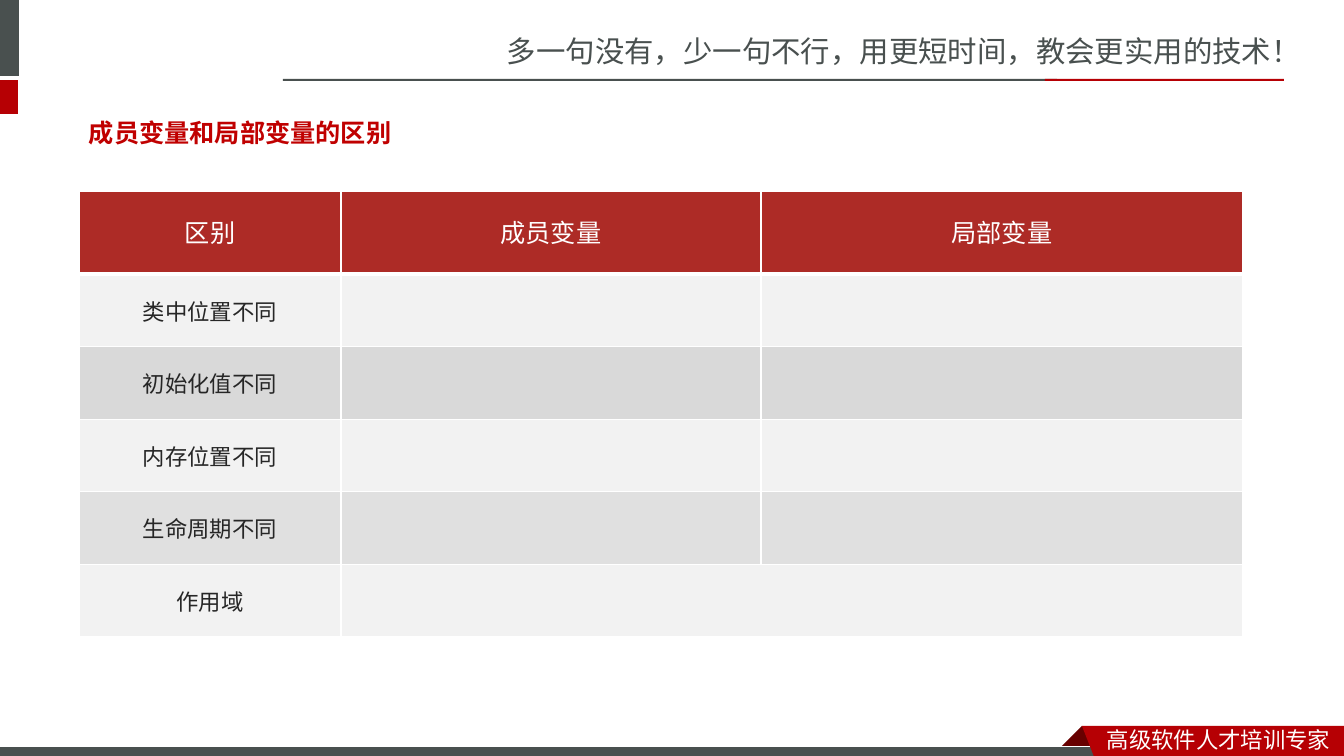
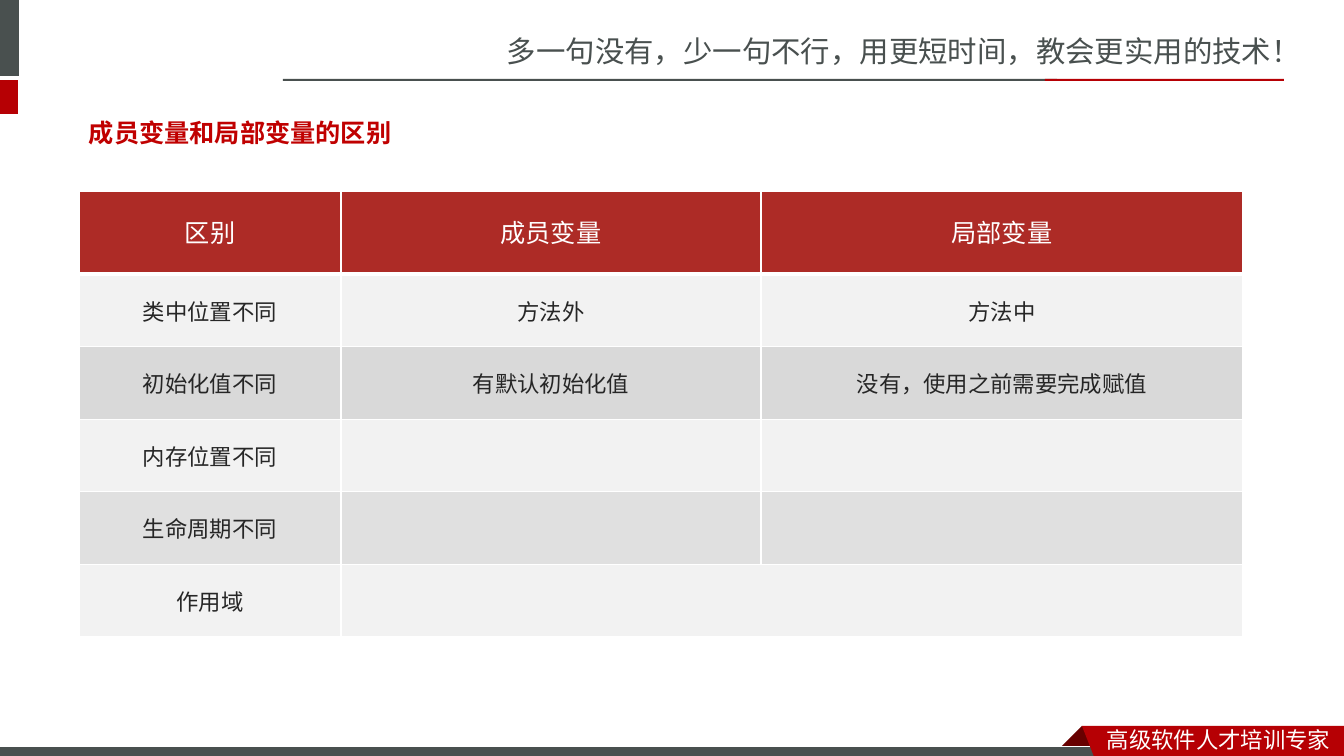
from lxml import etree
from pptx import Presentation
from pptx.dml.color import RGBColor
from pptx.enum.shapes import MSO_SHAPE
from pptx.enum.text import MSO_ANCHOR, PP_ALIGN
from pptx.oxml.ns import qn
from pptx.util import Emu, Pt

RECTANGLE = MSO_SHAPE.RECTANGLE
TOP, MIDDLE = MSO_ANCHOR.TOP, MSO_ANCHOR.MIDDLE
CENTER = PP_ALIGN.CENTER

SLIDE_WIDTH, SLIDE_HEIGHT = 1344, 756
SCALE = 12192000 / SLIDE_WIDTH

COLORS = {
    "slate": "49504F",
    "red": "B60004",
    "fold": "680000",
    "heading": "C00000",
    "table_header": "AD2B26",
    "light_row": "F2F2F2",
    "dark_row": "D9D9D9",
    "ink": "262626",
    "white": "FFFFFF",
}
CHINESE_FONT = "Noto Sans CJK SC"
HEADING_FONT = "Noto Sans Mono"
TABLE_FONT = "Roboto"

TAGLINE = "多一句没有，少一句不行，用更短时间，教会更实用的技术！"
SLOGAN = "高级软件人才培训专家"
HEADING = "成员变量和局部变量的区别"
COLUMN_TITLES = ["区别", "成员变量", "局部变量"]
ROW_TITLES = ["类中位置不同", "初始化值不同", "内存位置不同", "生命周期不同", "作用域"]
ROW_FILLS = [
    ("light_row", 100),
    ("dark_row", 100),
    ("light_row", 100),
    ("dark_row", 80),
    ("light_row", 100),
]
COLUMN_WIDTHS = [262, 420, 482]
HEADER_HEIGHT = 83
ANSWERS = [
    [],
    [["方法外", "方法中"], ["有默认初始化值", "没有，使用之前需要完成赋值"]],
]


def px(length):
    return Emu(round(length * SCALE))


def color(name):
    return RGBColor.from_string(COLORS[name])


def paint(shape, fill, line=None):
    shape.shadow.inherit = False
    shape.fill.solid()
    shape.fill.fore_color.rgb = color(fill)
    if line:
        shape.line.color.rgb = color(line)
        shape.line.width = Pt(0.75)
    else:
        shape.line.fill.background()


def add_bar(page, left, top, width, height, fill, line=None):
    bar = page.shapes.add_shape(RECTANGLE, px(left), px(top), px(width), px(height))
    paint(bar, fill, line)


def add_outline(page, left, top, points, fill):
    builder = page.shapes.build_freeform(*points[0], scale=SCALE)
    builder.add_line_segments(points[1:], close=True)
    paint(builder.convert_to_shape(px(left), px(top)), fill)


def write(para, text, size, font, fill, bold=False):
    para.text = text
    for span in para.runs:
        span.font.size = Pt(size)
        span.font.name = font
        span.font.bold = bold
        span.font.color.rgb = color(fill)
        east_asian = etree.Element(qn("a:ea"), typeface=CHINESE_FONT)
        span.font._element.find(qn("a:latin")).addnext(east_asian)


def add_text(page, box, text, size, font, fill, bold=False, anchor=TOP):
    frame = page.shapes.add_textbox(*map(px, box)).text_frame
    frame.word_wrap = True
    frame.vertical_anchor = anchor
    write(frame.paragraphs[0], text, size, font, fill, bold)


def add_side_tabs(page, box):
    left, top, width, height = box
    add_bar(page, left, top, width, 76, "slate")
    add_bar(page, left, top + 80, width - 1, height - 80, "red")


def add_tagline(page, box):
    left, top, width, height = box
    add_text(page, (left + 214, top, 848, 47), TAGLINE, 21, CHINESE_FONT, "slate")
    rule_top = top + height - 2
    add_bar(page, left, rule_top, 774, 2, "slate")
    add_bar(page, left + width - 239, rule_top, 239, 2, "red")


def add_footer(page, box):
    left, top, width, height = box
    ribbon = left + width - 262
    fold = [(22, 0), (44, 22), (43, 23), (1, 23), (0, 22)]
    add_outline(page, ribbon - 22, top, fold, "fold")
    add_bar(page, left - 1, top + 21, 1109, 12, "slate", "white")
    band = [(0, 0), (262, 0), (262, height), (13, height - 1)]
    add_outline(page, ribbon, top, band, "red")
    slogan_box = (left + width - 247, top - 5, 247, 37)
    add_text(page, slogan_box, SLOGAN, 16, CHINESE_FONT, "white")


def set_borders(cell, widths):
    properties = cell._tc.get_or_add_tcPr()
    for side, width in zip(("lnL", "lnR", "lnT", "lnB"), widths):
        border = etree.SubElement(properties, qn(f"a:{side}"), w=str(Pt(width)))
        fill = etree.SubElement(border, qn("a:solidFill"))
        etree.SubElement(fill, qn("a:srgbClr"), val=COLORS["white"])


def style_cell(cell, fill, opacity, borders):
    set_borders(cell, borders)
    cell.fill.solid()
    cell.fill.fore_color.rgb = color(fill)
    if opacity < 100:
        shade = cell._tc.tcPr.find(qn("a:solidFill")).find(qn("a:srgbClr"))
        etree.SubElement(shade, qn("a:alpha"), val=str(opacity * 1000))
    cell.vertical_anchor = MIDDLE


def add_comparison(page, box, answers):
    height = box[3]
    row_count, column_count = len(ROW_TITLES) + 1, len(COLUMN_TITLES)
    table = page.shapes.add_table(row_count, column_count, *map(px, box)).table
    table.horz_banding = False
    for column, width in zip(table.columns, COLUMN_WIDTHS):
        column.width = px(width)
    for index, row in enumerate(table.rows):
        body_height = (height - HEADER_HEIGHT) / len(ROW_TITLES)
        row.height = px(body_height if index else HEADER_HEIGHT)

    fills = [("table_header", 100)] + ROW_FILLS
    texts = [COLUMN_TITLES]
    for index, title in enumerate(ROW_TITLES):
        texts.append([title] + (answers[index] if index < len(answers) else ["", ""]))

    for row_index, (row_texts, (fill, opacity)) in enumerate(zip(texts, fills)):
        is_header = row_index == 0
        borders = (1, 1, 3 if row_index == 1 else 1, 3 if is_header else 1)
        size, ink = (18, "white") if is_header else (16, "ink")
        for column_index, text in enumerate(row_texts):
            cell = table.cell(row_index, column_index)
            style_cell(cell, fill, opacity, borders)
            if text:
                para = cell.text_frame.paragraphs[0]
                para.alignment = CENTER
                if is_header:
                    para.line_spacing = Pt(24)
                write(para, text, size, TABLE_FONT, ink)
    last = row_count - 1
    table.cell(last, 1).merge(table.cell(last, 2))


def add_comparison_page(deck, answers):
    page = deck.slides.add_slide(deck.slide_layouts[6])
    add_tagline(page, (283, 28, 1001, 53))
    add_side_tabs(page, (-6, 0, 25, 114))
    add_footer(page, (0, 726, SLIDE_WIDTH, 34))
    add_text(page, (79, 104, 379, 57), HEADING, 18, HEADING_FONT, "heading", True, MIDDLE)
    add_comparison(page, (79, 191, sum(COLUMN_WIDTHS), 446), answers)


def main():
    deck = Presentation()
    deck.slide_width, deck.slide_height = px(SLIDE_WIDTH), px(SLIDE_HEIGHT)
    for answers in ANSWERS:
        add_comparison_page(deck, answers)
    deck.save("out.pptx")


if __name__ == "__main__":
    main()
